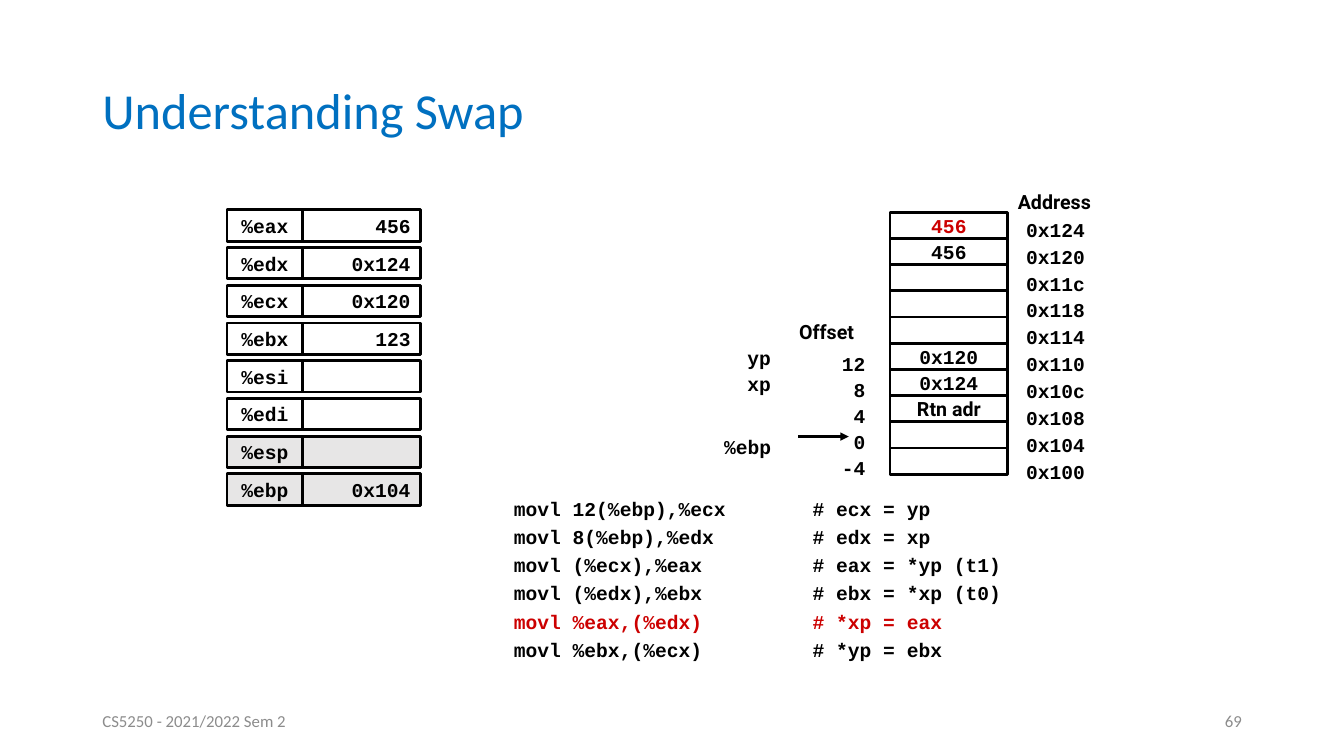
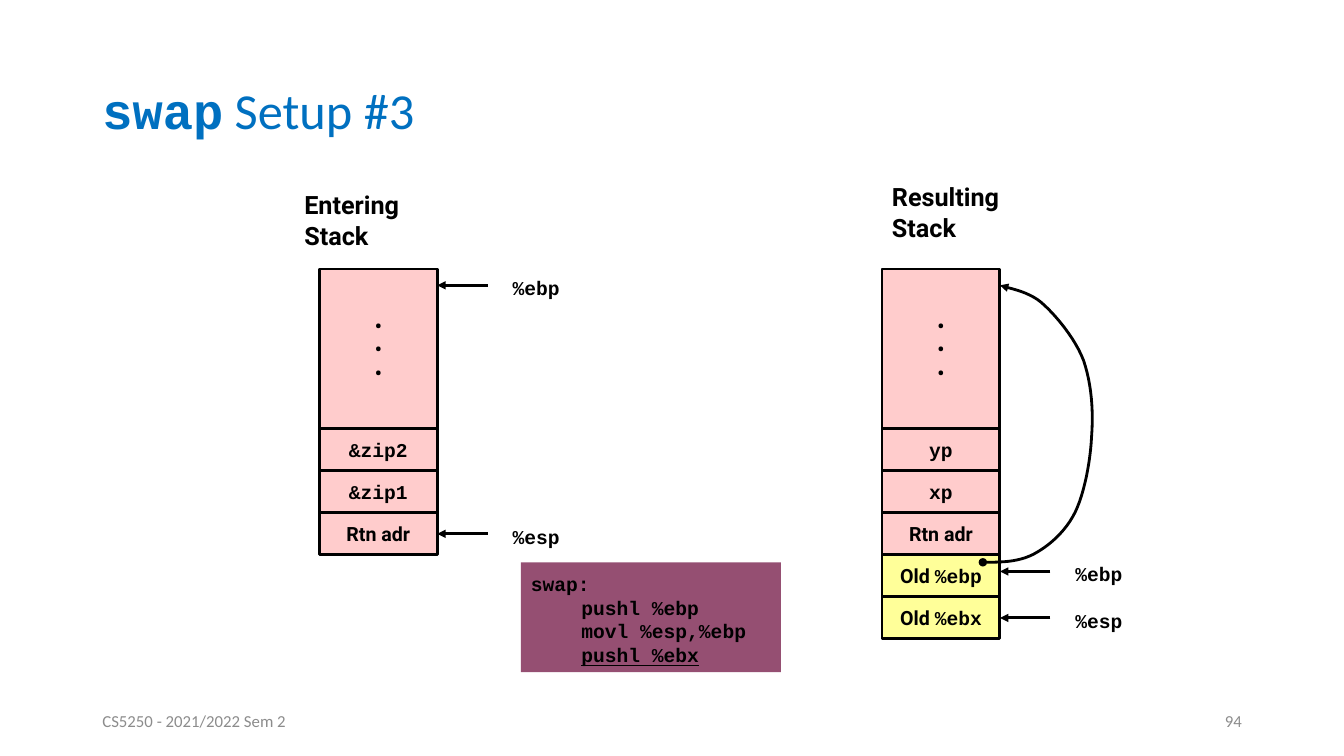
from pptx import Presentation
from pptx.dml.color import RGBColor
from pptx.enum.shapes import MSO_CONNECTOR, MSO_SHAPE
from pptx.enum.text import MSO_ANCHOR, PP_ALIGN
from pptx.oxml.ns import qn
from pptx.util import Cm, Pt
from lxml.etree import SubElement

MONO, SANS, BODY = "Courier New", "Roboto", "Calibri"
BLACK, WHITE, RED, BLUE = "000000", "FFFFFF", "CC0000", "0070C0"
GRAY, SHADE, PINK, YELLOW, PLUM = "8C8C8C", "E7E6E6", "FFCCCC", "FFFF99", "954F72"
LEFT, MID, RIGHT = PP_ALIGN.LEFT, PP_ALIGN.CENTER, PP_ALIGN.RIGHT
CELL_W = 2.97


def tint(code):
    return RGBColor.from_string(code)


def write(frame, lines, font=MONO, size=14, color=BLACK, bold=True, align=LEFT,
          gap=None, tabs=(), anchor=MSO_ANCHOR.TOP, pad=0.13):
    frame.word_wrap = True
    frame.vertical_anchor = anchor
    frame.margin_left = frame.margin_right = Cm(0.25)
    frame.margin_top = frame.margin_bottom = Cm(pad)
    for i, line in enumerate([lines] if isinstance(lines, str) else lines):
        para = frame.add_paragraph() if i else frame.paragraphs[0]
        if tabs:
            stops = SubElement(para._p.get_or_add_pPr(), qn("a:tabLst"))
            for stop in tabs:
                SubElement(stops, qn("a:tab"), pos=str(Cm(stop)), algn="l")
        para.alignment = align
        if gap:
            para.line_spacing = gap
        for part in [line] if isinstance(line, str) else line:
            text, style = (part, {}) if isinstance(part, str) else part
            run = para.add_run()
            run.text = text
            run.font.name = style.get("font", font)
            run.font.size = Pt(size)
            run.font.bold = style.get("bold", bold)
            run.font.color.rgb = tint(style.get("color", color))
            if "under" in style:
                run.font.underline = style["under"]


def label(slide, x, y, w, h, lines, **style):
    box = slide.shapes.add_textbox(Cm(x), Cm(y), Cm(w), Cm(h))
    write(box.text_frame, lines, **style)


def block(slide, x, y, w, h, fill, edge=True):
    rect = slide.shapes.add_shape(MSO_SHAPE.RECTANGLE, Cm(x), Cm(y), Cm(w), Cm(h))
    rect.shadow.inherit = False
    rect.fill.solid()
    rect.fill.fore_color.rgb = tint(fill)
    if edge:
        ink(rect)
    else:
        rect.line.fill.background()
    return rect


def cell(slide, x, y, w, h, lines, fill=WHITE, align=MID, **style):
    rect = block(slide, x, y, w, h, fill)
    if lines:
        write(rect.text_frame, lines, align=align, anchor=MSO_ANCHOR.MIDDLE,
              pad=0, **style)
    return rect


def ink(shape, **ends):
    shape.line.color.rgb = tint(BLACK)
    shape.line.width = Pt(2)
    for end, kind in ends.items():
        SubElement(shape.line._get_or_add_ln(), qn(f"a:{end}End"), type=kind)


def arrow(slide, x, y, end, goal=None):
    line = slide.shapes.add_connector(MSO_CONNECTOR.STRAIGHT, Cm(x), Cm(y), Cm(end), Cm(y))
    ink(line, tail="triangle")
    SubElement(line._element.spPr, qn("a:effectLst"))
    if goal:
        line.end_connect(goal, 3)


def start(deck, title, page):
    slide = deck.slides.add_slide(deck.slide_layouts[5])
    head = slide.shapes.title
    head.left, head.top, head.width, head.height = Cm(2.33), Cm(1.02), Cm(29.21), Cm(3.68)
    write(head.text_frame, title, font=BODY, size=36, color=BLUE, bold=False,
          gap=0.9, anchor=MSO_ANCHOR.MIDDLE)
    for x, text, align in ((2.33, "CS5250 - 2021/2022 Sem 2", LEFT), (23.93, page, RIGHT)):
        label(slide, x, 17.65, 7.62, 1.02, text, font=BODY, size=12, color=GRAY,
              bold=False, align=align, anchor=MSO_ANCHOR.MIDDLE)
    return slide


def bank(slide, x, y):
    rows = (("%eax", "456"), ("%edx", "0x124"), ("%ecx", "0x120"), ("%ebx", "123"),
            ("%esi", ""), ("%edi", ""), ("%esp", ""), ("%ebp", "0x104"))
    for i, (name, value) in enumerate(rows):
        fill = SHADE if name in ("%esp", "%ebp") else WHITE
        top = y + i * 0.95
        cell(slide, x, top, 1.91, 0.79, name, fill)
        cell(slide, x + 1.91, top, CELL_W, 0.79, value, fill, RIGHT)


def store(slide, x, y):
    step = 0.66
    words = ("456", "456", "", "", "", "0x120", "0x124", "Rtn adr", "", "")
    for i, word in enumerate(words):
        cell(slide, x, y + i * step, CELL_W, step, word,
             font=SANS if word == "Rtn adr" else MONO, color=BLACK if i else RED)
    label(slide, x + 2.97, y - 0.7, 2.6, 0.86, "Address", font=SANS)
    places = ("0x124", "0x120", "0x11c", "0x118", "0x114",
              "0x110", "0x10c", "0x108", "0x104", "0x100")
    for i, place in enumerate(places):
        label(slide, x + 3.18, y + i * 0.68, 3.38, 0.86, place)
    label(slide, x - 2.54, y + 2.57, 2.2, 0.86, "Offset", font=SANS)
    for i, shift in enumerate(("12", "8", "4", "0", "-4"), 5):
        label(slide, x - 1.87, y + i * step + 0.08, 1.5, 0.86, shift, align=RIGHT)
    for i, name in enumerate(("yp", "xp"), 5):
        label(slide, x - 4.21, y + i * step, 1.83, 0.79, name, align=MID, gap=0.9)
    label(slide, x - 4.43, y + 5.47, 2, 0.86, "%ebp")
    arrow(slide, x - 2.31, y + 5.65, x - 1.04)


def stack(slide, x, y, rows):
    cell(slide, x, y, CELL_W, 4.02, ["•"] * 3, PINK, font=SANS)
    for i, (text, fill) in enumerate(rows):
        last = cell(slide, x, y + 4.02 + i * 1.06, CELL_W, 1.06, [text], fill)
    return last


def point(slide, x, y, name, goal=None):
    if goal:
        y = (goal.top + goal.height / 2) / Cm(1)
    arrow(slide, x + 1.27, y, x, goal)
    label(slide, x + 1.65, y - 0.36, 2.2, 0.85, name)


def bend(slide, x, y):
    dots = ((2.54, 7.39), (2.97, 7.39), (3.42, 7.39), (3.81, 7.19),
            (4.19, 6.99), (4.62, 6.63), (4.87, 6.12),
            (5.1, 5.64), (5.25, 4.85), (5.28, 4.22),
            (5.33, 3.58), (5.28, 2.9), (5.08, 2.31),
            (4.87, 1.75), (4.36, 1.14), (4.01, 0.84),
            (3.65, 0.54), (3.14, 0.48), (2.97, 0.41))
    trail = []
    for k in range(0, len(dots) - 1, 3):
        for n in range(1, 13):
            t = n / 12
            parts = ((1 - t) ** 3, 3 * t * (1 - t) ** 2, 3 * t * t * (1 - t), t ** 3)
            px, py = (sum(p * d[axis] for p, d in zip(parts, dots[k:k + 4]))
                      for axis in (0, 1))
            trail.append((Cm(x + px), Cm(y + py)))
    pen = slide.shapes.build_freeform(Cm(x + dots[0][0]), Cm(y + dots[0][1]))
    pen.add_line_segments(trail, close=False)
    curve = pen.convert_to_shape()
    curve.shadow.inherit = False
    curve.fill.background()
    ink(curve, head="oval", tail="triangle")


def code(slide, x, y):
    lines = ["\tmovl 12(%ebp),%ecx\t# ecx = yp",
             "\tmovl 8(%ebp),%edx\t# edx = xp",
             "\tmovl (%ecx),%eax\t# eax = *yp (t1)",
             "\tmovl (%edx),%ebx\t# ebx = *xp (t0)",
             [("\tmovl %eax,(%edx)\t# *xp = eax", {"color": RED})],
             "\tmovl %ebx,(%ecx)\t# *yp = ebx"]
    label(slide, x, y, 16.51, 4.55, lines, gap=1.2, tabs=(1.27, 8.8))


def setup(slide, x, y):
    rect = block(slide, x, y, 6.55, 2.77, PLUM, edge=False)
    lines = ["swap:", "\tpushl %ebp", "\tmovl %esp,%ebp",
             ["\t", ("pushl %ebx", {"under": True})]]
    write(rect.text_frame, lines, tabs=(1.27,))
    rect.text_frame.paragraphs[0].line_spacing = 1.2


def enter(slide, x, y):
    label(slide, x - 0.63, y - 2.13, 3.4, 1.78, ["Entering", "Stack"], font=SANS, size=18)
    last = stack(slide, x, y, (("&zip2", PINK), ("&zip1", PINK),
                               ([("Rtn adr", {"font": SANS})], PINK)))
    point(slide, x + CELL_W, y + 0.41, "%ebp")
    point(slide, x + CELL_W, 0, "%esp", last)


def result(slide, x, y):
    label(slide, x, y - 2.33, 3.6, 1.78, ["Resulting", "Stack"], font=SANS, size=18)
    old = ("Old ", {"font": SANS})
    last = stack(slide, x, y, (("yp", PINK), ("xp", PINK),
                               ([("Rtn adr", {"font": SANS})], PINK),
                               ([old, "%ebp"], YELLOW), ([old, "%ebx"], YELLOW)))
    point(slide, x + CELL_W, y + 7.62, "%ebp")
    point(slide, x + CELL_W, 0, "%esp", last)
    bend(slide, x, y)


def main():
    deck = Presentation()
    deck.slide_width, deck.slide_height = Cm(33.87), Cm(19.05)
    slide = start(deck, "Understanding Swap", "69")
    code(slide, 11.43, 12.27)
    store(slide, 22.43, 5.35)
    bank(slide, 5.72, 5.29)
    slide = start(deck, [[("swap", {"font": MONO, "bold": True}), " Setup #3"]], "94")
    setup(slide, 13.13, 14.17)
    enter(slide, 8.05, 6.78)
    result(slide, 22.23, 6.78)
    deck.save("out.pptx")


if __name__ == "__main__":
    main()
